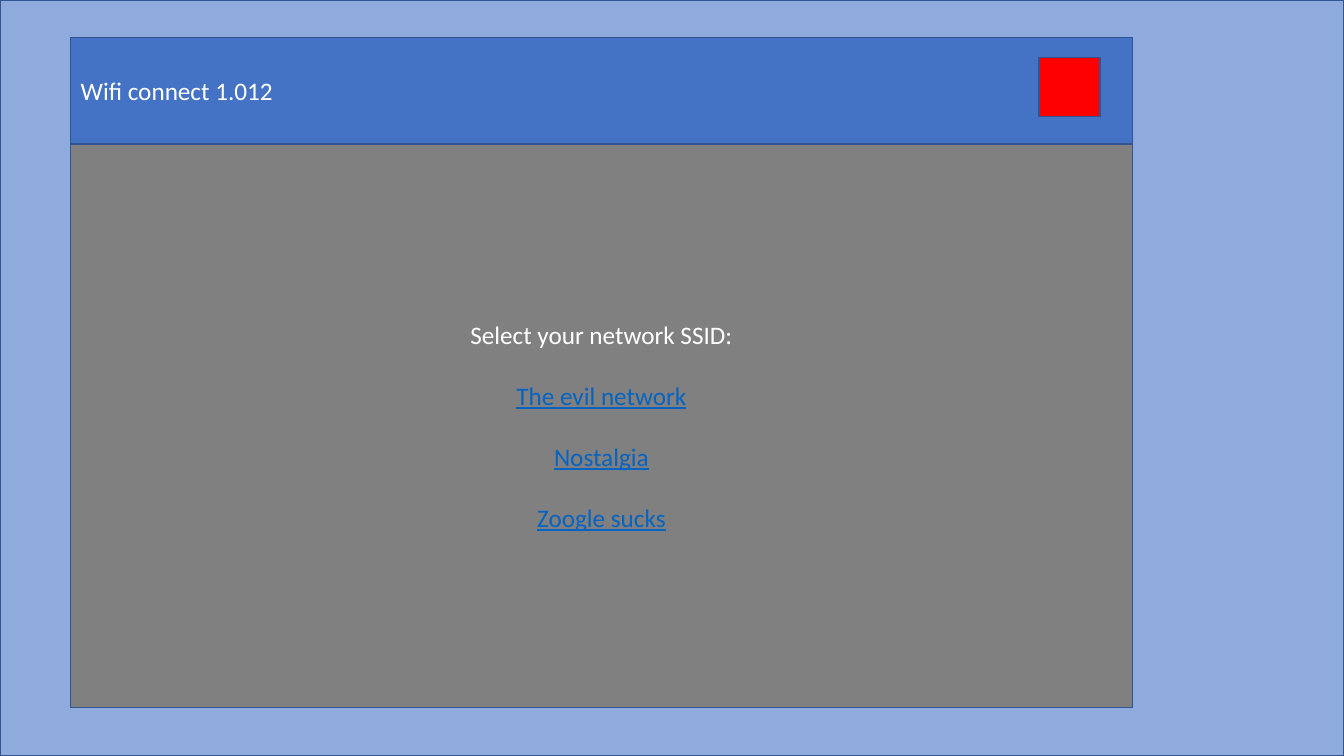
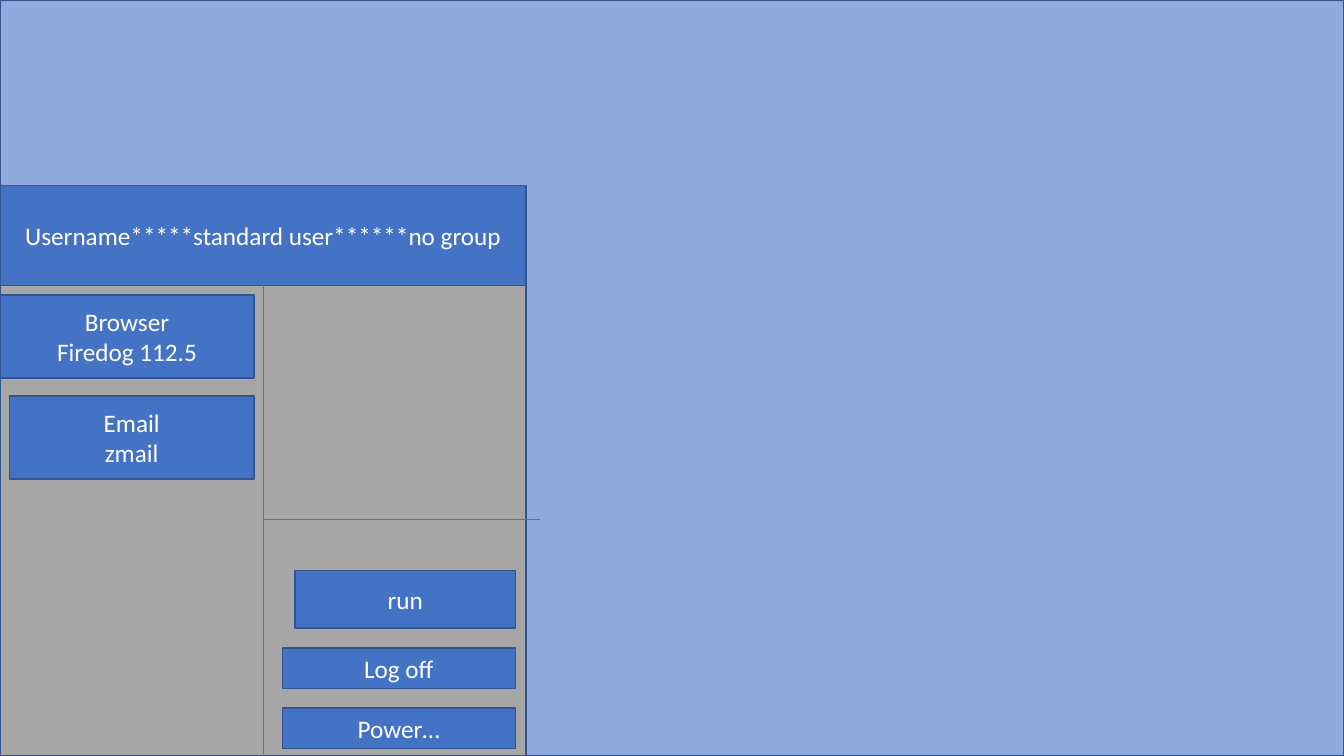
from dataclasses import dataclass

from pptx import Presentation
from pptx.dml.color import RGBColor
from pptx.enum.shapes import MSO_CONNECTOR as Connector, MSO_SHAPE as Shape
from pptx.enum.text import MSO_ANCHOR as Anchor, MSO_AUTO_SIZE as AutoSize, PP_ALIGN as Align
from pptx.oxml.ns import qn
from pptx.util import Inches, Pt
from lxml import etree


@dataclass(frozen=True)
class Theme:
    desktop: str = "8FAADC"
    accent: str = "4472C4"
    edge: str = "325491"
    window: str = "808080"
    menu: str = "A6A6A6"
    close: str = "FF0000"
    text: str = "FFFFFF"
    link: str = "0563C1"
    font: str = "Calibri"
    size: float = 18
    list_gap: float = 22
    edge_width: float = 1
    divider_width: float = 0.5


THEME = Theme()
SLIDE_WIDTH, SLIDE_HEIGHT = Inches(13.333), Inches(7.5)
TITLE_AND_LIST, TITLE_ONLY = 1, 5


@dataclass(frozen=True)
class Box:
    """A region on a grid of 100 columns by 100 rows over the slide."""
    left: float
    top: float
    width: float
    height: float

    def inner(self, left, top, width, height):
        return Box(self.left + left, self.top + top, width, height)

    def frame(self):
        return {"left": column(self.left), "top": row(self.top),
                "width": column(self.width), "height": row(self.height)}


def column(count):
    return round(SLIDE_WIDTH * count / 100)


def row(count):
    return round(SLIDE_HEIGHT * count / 100)


def set_all(target, values):
    for name, value in values.items():
        setattr(target, name, value)


def color(value):
    return RGBColor.from_string(value)


# Shared parts
def paint(shape, fill):
    shape.fill.solid()
    shape.fill.fore_color.rgb = color(fill)
    shape.line.color.rgb = color(THEME.edge)
    shape.line.width = Pt(THEME.edge_width)


def add_panel(page, box, fill):
    panel = page.shapes.add_shape(Shape.RECTANGLE, **box.frame())
    panel.shadow.inherit = False
    paint(panel, fill)
    return panel


def place_placeholder(holder, box, fill):
    """Size and fill a placeholder and bring it to the front."""
    set_all(holder, box.frame())
    paint(holder, fill)
    holder.element.getparent().append(holder.element)
    return holder


def write(shape, lines, align=Align.CENTER, gap=0):
    text = shape.text_frame
    set_all(text, {"word_wrap": True, "auto_size": AutoSize.NONE,
                   "vertical_anchor": Anchor.MIDDLE})
    for index, line in enumerate(lines):
        para = text.paragraphs[0] if index == 0 else text.add_paragraph()
        set_all(para, {"alignment": align, "space_before": Pt(gap if index else 0)})
        span = para.add_run()
        span.text = line
        set_all(span.font, {"name": THEME.font, "size": Pt(THEME.size), "bold": False})
        span.font.color.rgb = color(THEME.text)
    return text.paragraphs


def remove_bullet(para):
    props = para._p.get_or_add_pPr()
    props.set("marL", "0")
    props.set("indent", "0")
    etree.SubElement(props, qn("a:buNone"))


def add_button(page, box, lines):
    write(add_panel(page, box, THEME.accent), lines)


def add_divider(page, start, end):
    line = page.shapes.add_connector(Connector.STRAIGHT, column(start[0]), row(start[1]),
                                     column(end[0]), row(end[1]))
    line.line.color.rgb = color(THEME.accent)
    line.line.width = Pt(THEME.divider_width)
    etree.SubElement(line.element.spPr, qn("a:effectLst"))


def add_desktop(deck, layout):
    page = deck.slides.add_slide(deck.slide_layouts[layout])
    add_panel(page, Box(0, 0, 100, 100), THEME.desktop)
    return page


def add_title(page, box, title, align=Align.CENTER):
    write(place_placeholder(page.shapes.title, box, THEME.accent), [title], align)


# Window with a list of networks
def add_network_window(page, box, title, prompt, networks):
    bar = 14.1
    content = box.inner(0, bar, box.width, box.height - bar)
    body = place_placeholder(page.placeholders[1], content, THEME.window)
    paras = write(body, [prompt, *networks], gap=THEME.list_gap)
    for index, para in enumerate(paras):
        remove_bullet(para)
        if index:
            font = para.runs[0].font
            font.underline = True
            font.color.rgb = color(THEME.link)
    add_title(page, box.inner(0, 0, box.width, bar), title, Align.LEFT)
    add_panel(page, box.inner(72.05, 2.65, 4.55, 7.8), THEME.close)


# Start menu with programs on the left and commands on the right
def add_start_menu(page, box, title, programs, commands):
    bar = 13.25
    add_title(page, box.inner(0, 0, box.width, bar), title)
    panel = box.inner(0, bar, box.width, box.height - bar)
    add_panel(page, panel, THEME.menu)

    middle, split = panel.left + panel.width / 2, panel.top + 30.9
    add_divider(page, (middle, panel.top), (middle, panel.top + panel.height))
    add_divider(page, (middle, split), (panel.left + panel.width + 1, split))

    for index, (indent, lines) in enumerate(programs):
        add_button(page, panel.inner(indent, 1.3 + index * 13.35, 18.9 - indent, 10.95), lines)

    right = 38.35
    for index, (width, height, label) in enumerate(commands):
        bottom = 45.35 + index * 7.95
        add_button(page, panel.inner(right - width, bottom - height, width, height), [label])


def main():
    deck = Presentation()
    set_all(deck, {"slide_width": SLIDE_WIDTH, "slide_height": SLIDE_HEIGHT})

    add_network_window(
        add_desktop(deck, TITLE_AND_LIST), Box(5.25, 4.95, 79, 88.65),
        "Wifi connect 1.012", "Select your network SSID:",
        ["The evil network", "Nostalgia", "Zoogle sucks"])

    add_start_menu(
        add_desktop(deck, TITLE_ONLY), Box(0, 24.5, 39.15, 75.5),
        "Username*****standard user******no group",
        programs=[(0, ["Browser", "Firedog 112.5"]), (0.7, ["Email", "zmail"])],
        commands=[(16.4, 7.65, "run"), (17.35, 5.35, "Log off"), (17.35, 5.35, "Power…")])

    deck.save("out.pptx")


if __name__ == "__main__":
    main()
